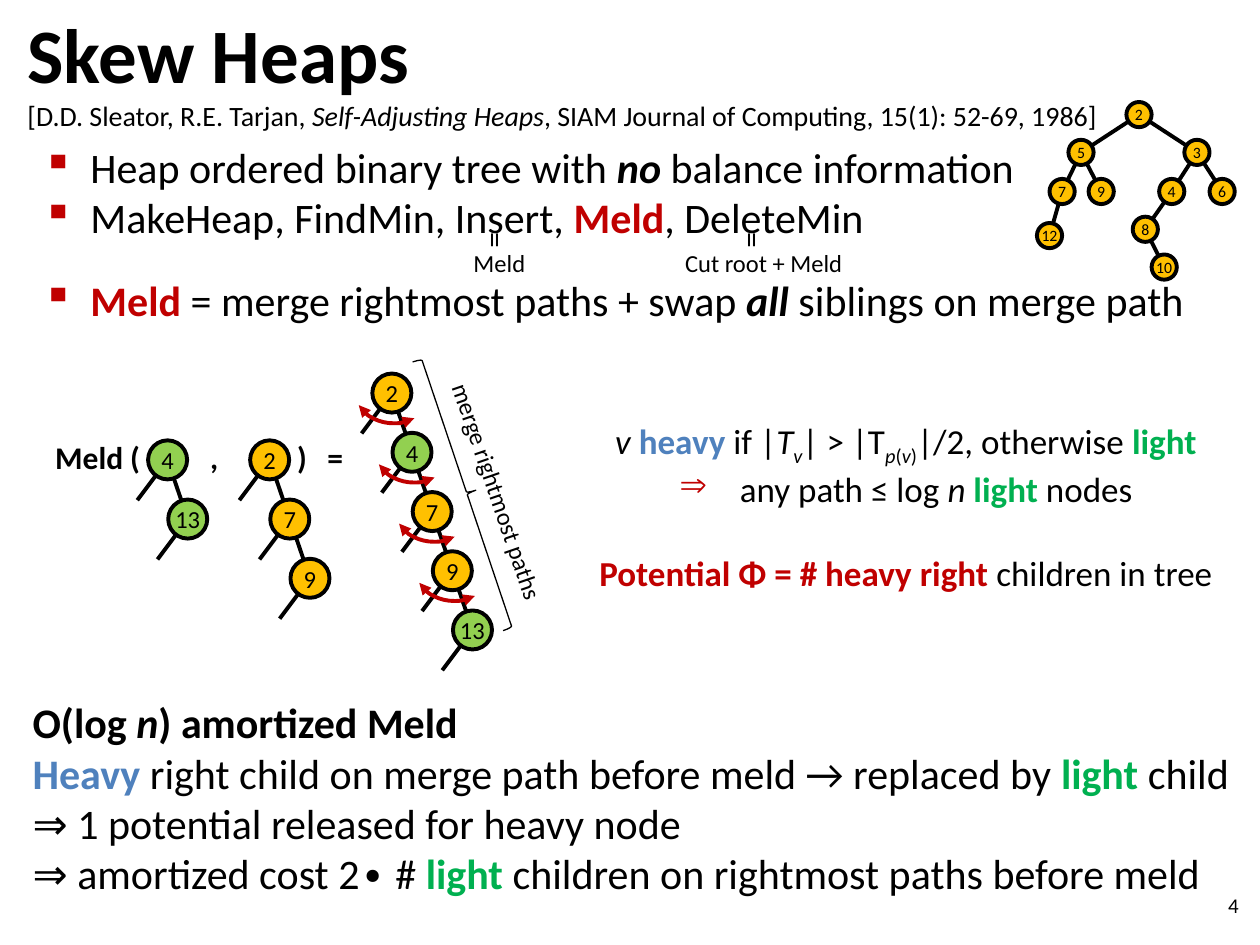
"""Build the Skew Heaps lecture slide."""
from dataclasses import dataclass
from typing import Optional

import lxml.etree
import pptx
import pptx.dml.color
import pptx.enum.shapes
import pptx.enum.text
import pptx.oxml.ns
import pptx.shapes.autoshape
import pptx.slide
import pptx.util

Inches = pptx.util.Inches
Pt = pptx.util.Pt
RGBColor = pptx.dml.color.RGBColor
Shape = pptx.enum.shapes.MSO_SHAPE
Align = pptx.enum.text.PP_ALIGN
Anchor = pptx.enum.text.MSO_ANCHOR
qn = pptx.oxml.ns.qn

BLACK = RGBColor(0x00, 0x00, 0x00)
RED = RGBColor(0xC0, 0x00, 0x00)
BLUE = RGBColor(0x4F, 0x81, 0xBD)
GREEN = RGBColor(0x00, 0xB0, 0x50)
AMBER = RGBColor(0xFF, 0xC0, 0x00)
LIME = RGBColor(0x92, 0xD0, 0x50)
FONT = "Calibri"
CHAIN_STEP = (0.16, 0.47)
STUB = (-0.24, 0.32)


@dataclass
class Span:
    text: str
    bold: Optional[bool] = None
    italic: Optional[bool] = None
    color: Optional[RGBColor] = None
    subscript: bool = False


@dataclass
class Line:
    spans: list[Span]
    align: Align = Align.LEFT
    bullet: str = ""
    indent: float = 0
    tabs: tuple[float, ...] = ()
    before: float = 0
    spacing: Optional[float] = None


@dataclass
class TextBlock:
    left: float
    top: float
    width: float
    height: float
    size: float
    lines: list[Line]
    bold: bool = False
    anchor: Anchor = Anchor.TOP
    rotation: float = 0


@dataclass
class Node:
    label: str
    x: float
    y: float
    fill: RGBColor = AMBER


@dataclass
class Chain:
    x: float
    y: float
    keys: list[tuple[str, RGBColor]]


def set_paragraph(para, line: Line, size: float, bold: bool) -> None:
    """Format one paragraph and add its spans."""
    properties = para._p.get_or_add_pPr()
    if line.bullet:
        properties.set("marL", str(Inches(line.indent)))
        properties.set("indent", str(-Inches(line.indent)))
        tint = lxml.etree.SubElement(properties, qn("a:buClr"))
        lxml.etree.SubElement(tint, qn("a:srgbClr"), val=str(RED))
        lxml.etree.SubElement(properties, qn("a:buChar"), char=line.bullet)
    if line.tabs:
        stops = lxml.etree.SubElement(properties, qn("a:tabLst"))
        for stop in line.tabs:
            lxml.etree.SubElement(stops, qn("a:tab"), pos=str(Inches(stop)), algn="l")
    para.alignment = line.align
    para.space_before = Pt(line.before)
    if line.spacing:
        para.line_spacing = Pt(line.spacing)
    para.font.name, para.font.size, para.font.bold = FONT, Pt(size), bold
    para.font.color.rgb = BLACK
    for span in line.spans:
        run = para.add_run()
        run.text = span.text
        run.font.bold, run.font.italic = span.bold, span.italic
        if span.color is not None:
            run.font.color.rgb = span.color
        if span.subscript:
            run._r.get_or_add_rPr().set("baseline", "-25000")


def draw_text(page: pptx.slide.Slide, block: TextBlock) -> None:
    """Add a wrapped text box."""
    box = page.shapes.add_textbox(*map(Inches, (block.left, block.top, block.width, block.height)))
    box.rotation = block.rotation
    frame = box.text_frame
    frame.word_wrap = True
    frame.vertical_anchor = block.anchor
    for index, line in enumerate(block.lines):
        para = frame.add_paragraph() if index else frame.paragraphs[0]
        set_paragraph(para, line, block.size, block.bold)


def draw_edge(page: pptx.slide.Slide, start: tuple[float, float], end: tuple[float, float]) -> None:
    """Add a black tree edge."""
    edge = page.shapes.add_connector(
        pptx.enum.shapes.MSO_CONNECTOR.STRAIGHT, *map(Inches, (*start, *end)))
    edge.line.color.rgb, edge.line.width = BLACK, Pt(2.25)
    lxml.etree.SubElement(edge._element.spPr, qn("a:effectLst"))


def draw_node(page: pptx.slide.Slide, node: Node, diameter: float, size: float) -> None:
    """Add a labelled circle around its centre."""
    circle = page.shapes.add_shape(Shape.OVAL, Inches(node.x - diameter / 2),
                                   Inches(node.y - diameter / 2), Inches(diameter), Inches(diameter))
    circle.shadow.inherit = False
    circle.fill.solid()
    circle.fill.fore_color.rgb = node.fill
    circle.line.color.rgb, circle.line.width = BLACK, Pt(2.25)
    frame = circle.text_frame
    frame.margin_left = frame.margin_right = 0
    frame.vertical_anchor = Anchor.MIDDLE
    set_paragraph(frame.paragraphs[0], Line([Span(node.label)], Align.CENTER), size, False)


def draw_chain(page: pptx.slide.Slide, chain: Chain) -> None:
    """Add a rightmost path with a left stub at each node."""
    nodes = [Node(label, chain.x + i * CHAIN_STEP[0], chain.y + i * CHAIN_STEP[1], fill)
             for i, (label, fill) in enumerate(chain.keys)]
    for node in nodes:
        draw_edge(page, (node.x, node.y), (node.x + STUB[0], node.y + STUB[1]))
    draw_edge(page, (nodes[0].x, nodes[0].y), (nodes[-1].x, nodes[-1].y))
    for node in nodes:
        draw_node(page, node, 0.31, 14)


def draw_outline(page: pptx.slide.Slide, kind: Shape, frame: tuple[float, ...], color: RGBColor,
                 width: float) -> pptx.shapes.autoshape.Shape:
    """Add an unfilled preset shape."""
    shape = page.shapes.add_shape(kind, *map(Inches, frame))
    shape.shadow.inherit = False
    shape.fill.background()
    shape.line.color.rgb, shape.line.width = color, Pt(width)
    return shape


def draw_swap(page: pptx.slide.Slide, left: float, top: float) -> None:
    """Add a double-headed arc for swapped siblings."""
    arc = draw_outline(page, Shape.ARC, (left, top, 0.63, 0.55), RED, 2.25)
    arc.adjustments[0], arc.adjustments[1] = 33.04, 92.81
    for end in ("a:headEnd", "a:tailEnd"):
        lxml.etree.SubElement(arc._element.spPr.find(qn("a:ln")), qn(end), type="triangle")


TEXTS = [
    TextBlock(0.12, 0, 3.31, 0.84, 44, [Line([Span("Skew Heaps")])], True, Anchor.MIDDLE),
    TextBlock(0.12, 0.73, 8.74, 0.43, 16, [Line([
        Span("[D.D. Sleator, R.E. Tarjan, "), Span("Self-Adjusting Heaps", italic=True),
        Span(", SIAM Journal of Computing, 15(1): 52-69, 1986]")])]),
    TextBlock(0.24, 1.07, 9.33, 1.65, 24, [
        Line([Span("Heap ordered binary tree with "), Span("no ", True, True),
              Span("balance information")], bullet="▪", indent=0.38),
        Line([Span("MakeHeap, FindMin, Insert, "), Span("Meld", True, color=RED),
              Span(", DeleteMin")], bullet="▪", indent=0.38),
        Line([Span("Meld", True, color=RED), Span(" = merge rightmost paths + swap "),
              Span("all ", True, True), Span("siblings on merge path")],
             bullet="▪", indent=0.38, before=29.3, spacing=18)]),
    *(TextBlock(left, 1.74, 0.39, 0.4, 18, [Line([Span("=")])], rotation=90) for left in (3.75, 5.79)),
    TextBlock(3.66, 1.92, 3.27, 0.34, 14, [Line([Span("Meld\tCut root + Meld")], tabs=(1.68,))]),
    TextBlock(0.34, 3.43, 2.54, 0.4, 18, [Line([Span("Meld (\t,\t)\t=")], tabs=(1.23, 1.92, 2.16))], True),
    TextBlock(2.88, 3.73, 2.13, 0.34, 14, [Line([Span("merge rightmost paths")], Align.CENTER)], rotation=71),
    TextBlock(4.61, 3.28, 5.16, 1.45, 20, [
        Line([Span("v ", italic=True), Span("heavy ", True, color=BLUE), Span("if |"),
              Span("T", italic=True), Span("v", italic=True, subscript=True), Span("| > |T"),
              Span("p", italic=True, subscript=True), Span("(", subscript=True),
              Span("v", italic=True, subscript=True), Span(")", subscript=True),
              Span("|/2, otherwise "), Span("light", True, color=GREEN)], Align.CENTER),
        Line([Span("any path ≤ log "), Span("n ", italic=True), Span("light ", True, color=GREEN),
              Span("nodes")], Align.CENTER, "⇒", 0.48),
        Line([Span("Potential Φ = # heavy right ", True, color=RED), Span("children in tree")],
             Align.CENTER, before=24.4)]),
    TextBlock(0.16, 5.48, 9.72, 1.72, 24, [
        Line([Span("O(log ", True), Span("n", True, True), Span(") amortized Meld", True)]),
        Line([Span("Heavy", True, color=BLUE),
              Span(" right child on merge path before meld → replaced by "),
              Span("light ", True, color=GREEN), Span("child")]),
        Line([Span("⇒ 1 potential released for heavy node")]),
        Line([Span("⇒ amortized cost 2∙ # "), Span("light ", True, color=GREEN),
              Span("children on rightmost paths before meld")])]),
    TextBlock(7.6, 6.98, 2.33, 0.4, 12, [Line([Span("4")], Align.RIGHT)], anchor=Anchor.MIDDLE),
]
CHAINS = [
    Chain(1.33, 3.65, [("4", LIME), ("13", LIME)]),
    Chain(2.14, 3.65, [("2", AMBER), ("7", AMBER), ("9", AMBER)]),
    Chain(3.11, 3.12, [("2", AMBER), ("4", LIME), ("7", AMBER), ("9", AMBER), ("13", LIME)]),
]
HEAP = [Node("2", 9.04, 0.91), Node("5", 8.58, 1.21), Node("3", 9.5, 1.21), Node("7", 8.43, 1.52),
        Node("9", 8.74, 1.52), Node("4", 9.3, 1.52), Node("6", 9.7, 1.52), Node("12", 8.33, 1.87),
        Node("8", 9.09, 1.82), Node("10", 9.24, 2.12)]
HEAP_EDGES = ["2 5", "2 3", "5 7", "5 9", "3 4", "3 6", "7 12", "4 8", "8 10"]


def main() -> None:
    """Draw the slide and save the deck."""
    deck = pptx.Presentation()
    deck.slide_width, deck.slide_height = Inches(10), Inches(7.5)
    page = deck.slides.add_slide(deck.slide_layouts[6])
    for block in TEXTS:
        draw_text(page, block)
    for chain in CHAINS:
        draw_chain(page, chain)
    for index in range(4):
        draw_swap(page, 2.81 + index * CHAIN_STEP[0], 2.81 + index * CHAIN_STEP[1])
    draw_outline(page, Shape.LEFT_BRACE, (3.63, 2.79, 0.15, 2.25), BLACK, 0.75).rotation = 161.4
    centres = {node.label: (node.x, node.y) for node in HEAP}
    for edge in HEAP_EDGES:
        parent, child = edge.split()
        draw_edge(page, centres[parent], centres[child])
    for node in HEAP:
        draw_node(page, node, 0.2, 9)
    deck.save("out.pptx")


if __name__ == "__main__":
    main()
